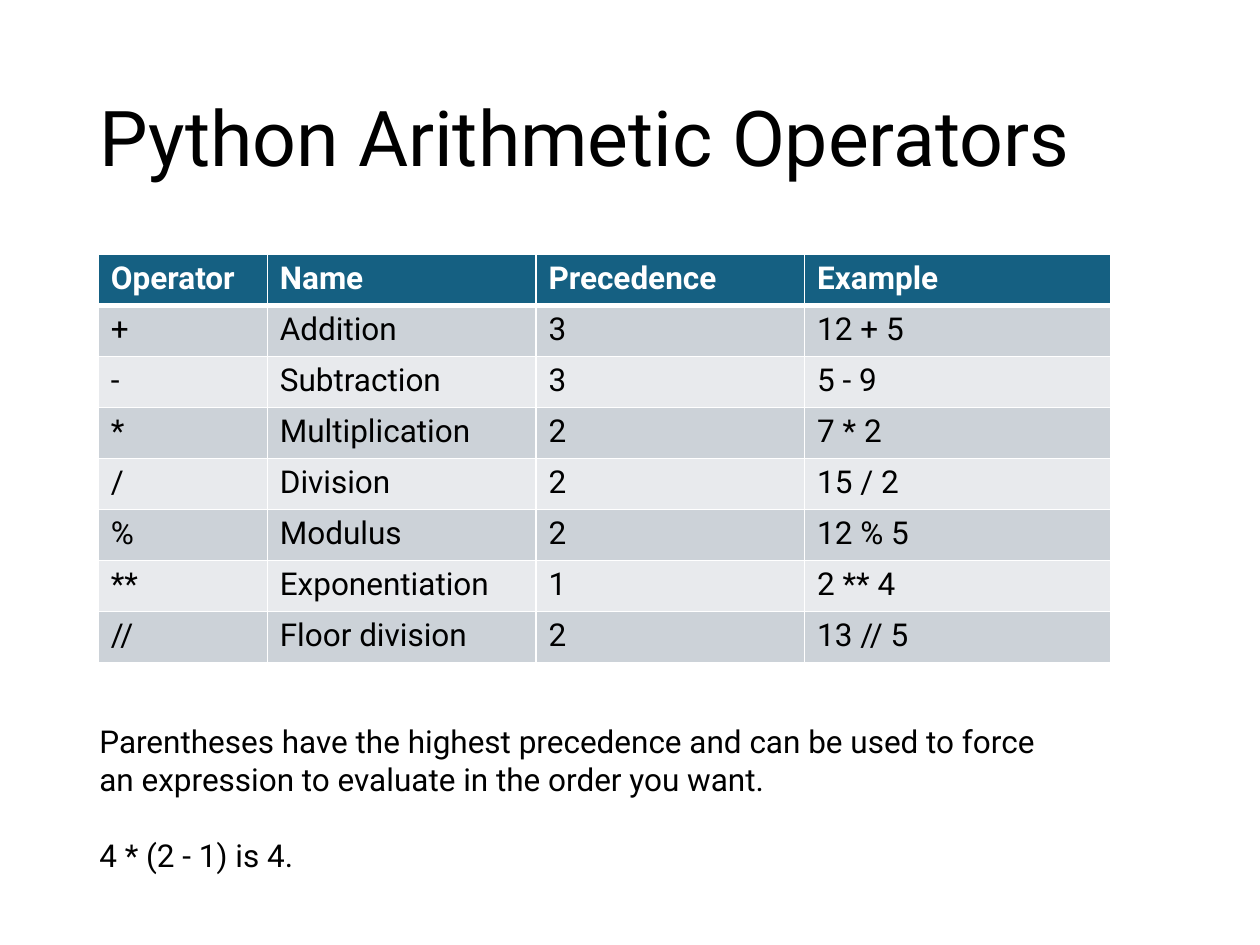
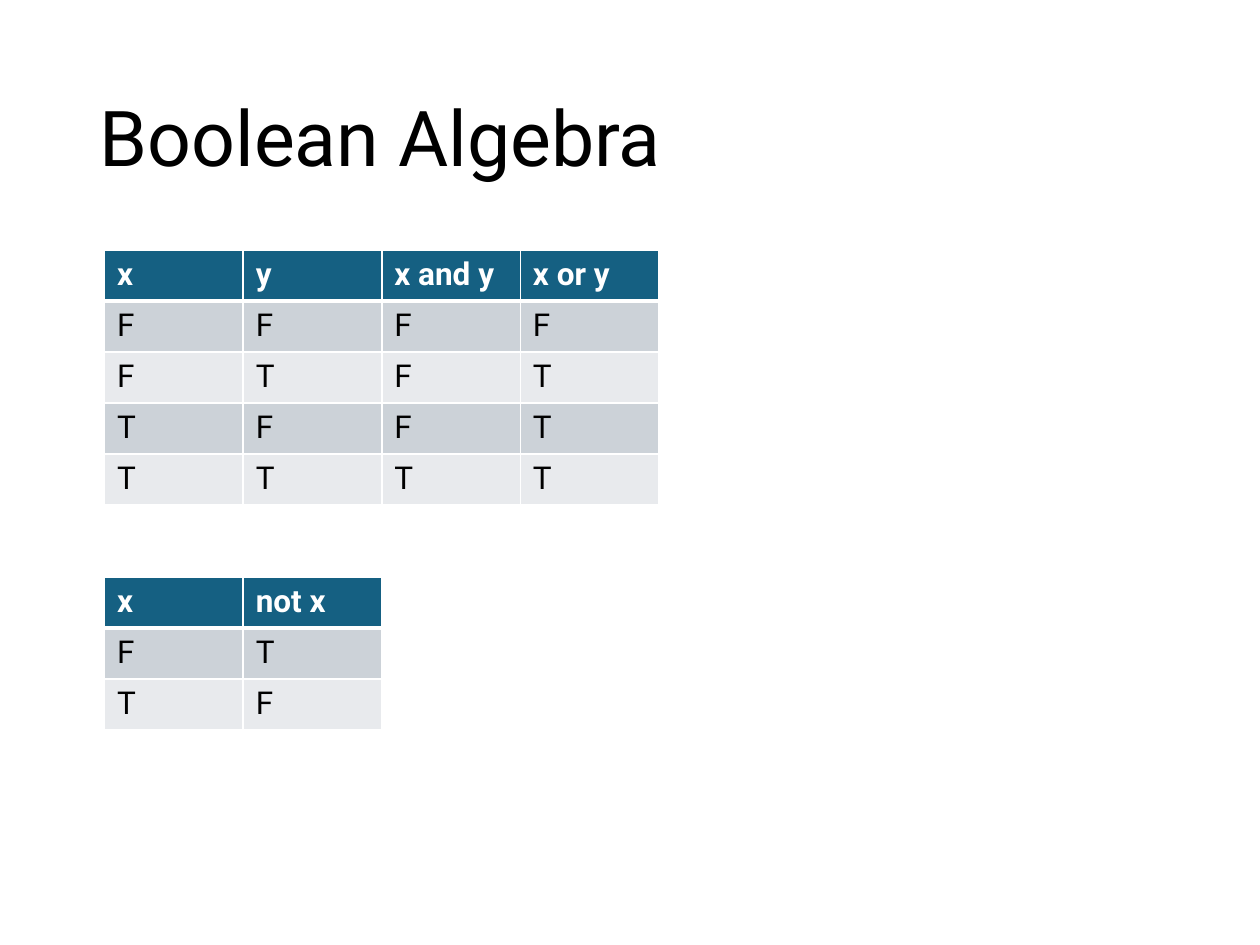
from dataclasses import dataclass

from lxml.etree import SubElement
from pptx import Presentation
from pptx.dml.color import RGBColor
from pptx.enum.text import MSO_ANCHOR, MSO_AUTO_SIZE, PP_ALIGN
from pptx.oxml.ns import qn
from pptx.util import Inches, Pt

WHITE = RGBColor(0xFF, 0xFF, 0xFF)
BLACK = RGBColor(0x00, 0x00, 0x00)
HEADER_BLUE = RGBColor(0x15, 0x60, 0x82)
BANDS = (RGBColor(0xCC, 0xD2, 0xD8), RGBColor(0xE8, 0xEA, 0xED))

FONT = "Roboto"
TITLE_SIZE = Pt(44)
BODY_SIZE = Pt(18)
THIN, THICK = Pt(1), Pt(3)

SLIDE_WIDTH, SLIDE_HEIGHT = Inches(10), Inches(7.5)
GRID_COLUMNS, GRID_ROWS = 100, 75
TABLE_ROW = 4.05

OPERATORS = [
    ("Operator", "Name", "Precedence", "Example"),
    ("+", "Addition", "3", "12 + 5"),
    ("-", "Subtraction", "3", "5 - 9"),
    ("*", "Multiplication", "2", "7 * 2"),
    ("/", "Division", "2", "15 / 2"),
    ("%", "Modulus", "2", "12 % 5"),
    ("**", "Exponentiation", "1", "2 ** 4"),
    ("//", "Floor division", "2", "13 // 5"),
]
AND_OR = [
    ("x", "y", "x and y", "x or y"),
    *("FFFF", "FTFT", "TFFT", "TTTT"),
]
NEGATION = [("x", "not x"), *("FT", "TF")]
PRECEDENCE_NOTES = (
    "Parentheses have the highest precedence and can be used to force "
    "an expression to evaluate in the order you want.",
    "4 * (2 - 1) is 4.",
)


def across(columns):
    return round(SLIDE_WIDTH * columns / GRID_COLUMNS)


def down(rows):
    return round(SLIDE_HEIGHT * rows / GRID_ROWS)


@dataclass
class Box:
    """A region measured in grid columns and rows."""

    left: float
    top: float
    width: float
    height: float

    def emu(self):
        return across(self.left), down(self.top), across(self.width), down(self.height)


TITLE_BOX = Box(6.9, 4, 86.2, 14.5)


def style(paragraph, size, color, bold=False):
    paragraph.alignment = PP_ALIGN.LEFT
    font = paragraph.font
    font.name, font.size, font.bold = FONT, size, bold
    font.color.rgb = color


def titled_slide(deck, heading):
    slide = deck.slides.add_slide(deck.slide_layouts[5])
    title = slide.shapes.title
    title.left, title.top, title.width, title.height = TITLE_BOX.emu()
    frame = title.text_frame
    frame.text = heading
    frame.auto_size = MSO_AUTO_SIZE.NONE
    frame.vertical_anchor = MSO_ANCHOR.MIDDLE
    frame.paragraphs[0].line_spacing = 0.9
    style(frame.paragraphs[0], TITLE_SIZE, BLACK)
    return slide


def rule_cell(cell, top, bottom):
    """Draw white borders; they must precede the fill in the cell properties."""
    properties = cell._tc.get_or_add_tcPr()
    for side, width in (("L", THIN), ("R", THIN), ("T", top), ("B", bottom)):
        line = SubElement(properties, qn(f"a:ln{side}"), w=str(width))
        fill = SubElement(line, qn("a:solidFill"))
        SubElement(fill, qn("a:srgbClr"), val=str(WHITE))


def banded_table(slide, box, rows, shares):
    """Fill the box with a table whose columns divide its width by shares."""
    table = slide.shapes.add_table(len(rows), len(shares), *box.emu()).table
    for column, share in zip(table.columns, shares):
        column.width = across(box.width * share / sum(shares))
    for r, row in enumerate(rows):
        is_header = r == 0
        table.rows[r].height = down(box.height / len(rows))
        for c, text in enumerate(row):
            cell = table.cell(r, c)
            cell.text = text
            rule_cell(cell, THICK if r == 1 else THIN, THICK if is_header else THIN)
            cell.fill.solid()
            cell.fill.fore_color.rgb = HEADER_BLUE if is_header else BANDS[(r - 1) % 2]
            style(cell.text_frame.paragraphs[0], BODY_SIZE,
                  WHITE if is_header else BLACK, is_header)


def notes_block(slide, box, notes):
    frame = slide.shapes.add_textbox(*box.emu()).text_frame
    frame.word_wrap = True
    frame.text = "\n".join(notes)
    for paragraph in frame.paragraphs:
        style(paragraph, BODY_SIZE, BLACK)
    for paragraph in frame.paragraphs[1:]:
        paragraph.space_before = Pt(22)


def arithmetic_slide(deck):
    slide = titled_slide(deck, "Python Arithmetic Operators")
    box = Box(7.8, 20.2, 80.4, TABLE_ROW * len(OPERATORS))
    banded_table(slide, box, OPERATORS, (1.34, 2.13, 2.13, 2.43))
    notes_block(slide, Box(TITLE_BOX.left, 56.8, 78.3, 13.1), PRECEDENCE_NOTES)


def boolean_slide(deck):
    slide = titled_slide(deck, "Boolean Algebra")
    column = 11
    for top, rows in ((19.85, AND_OR), (45.8, NEGATION)):
        count = len(rows[0])
        box = Box(8.3, top, column * count, TABLE_ROW * len(rows))
        banded_table(slide, box, rows, (1,) * count)


def main():
    deck = Presentation()
    deck.slide_width, deck.slide_height = SLIDE_WIDTH, SLIDE_HEIGHT
    arithmetic_slide(deck)
    boolean_slide(deck)
    deck.save("out.pptx")


if __name__ == "__main__":
    main()
